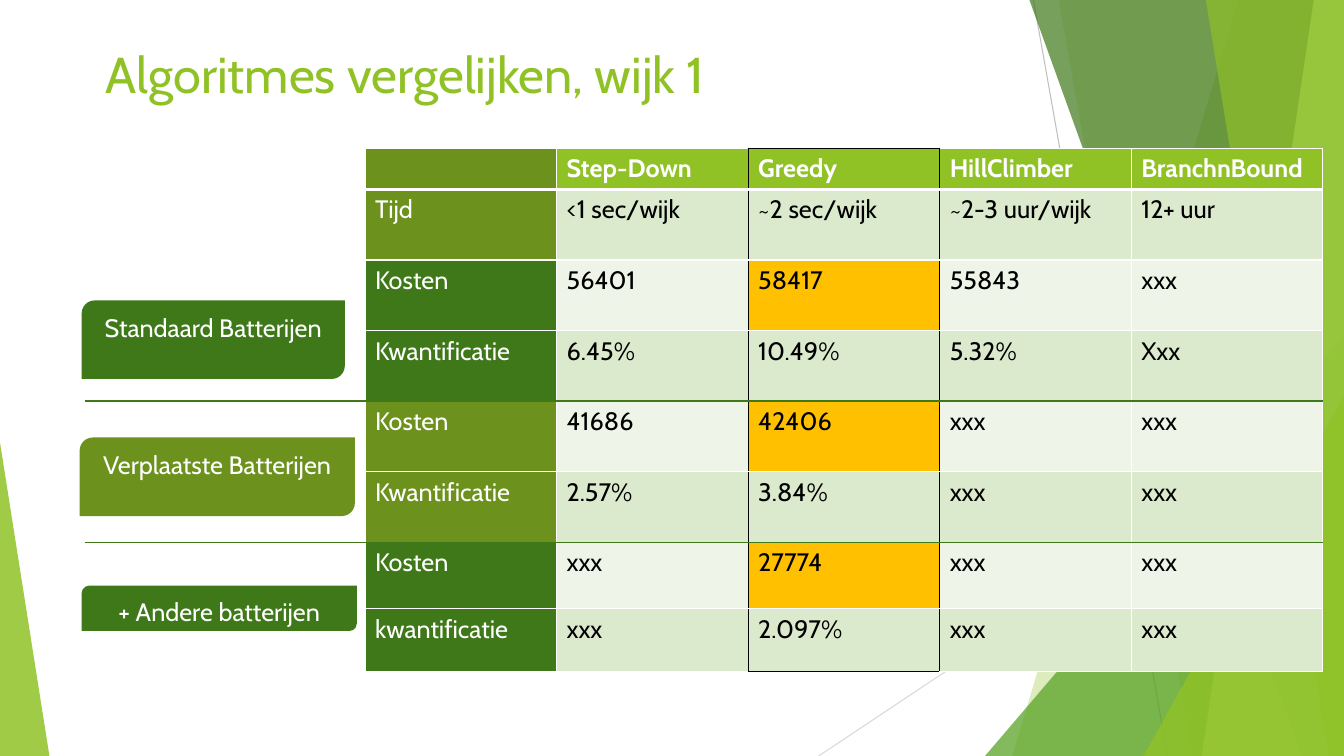
from lxml.etree import SubElement
from pptx import Presentation
from pptx.dml.color import RGBColor
from pptx.enum.shapes import MSO_CONNECTOR as CONN, MSO_SHAPE as SHAPE
from pptx.enum.text import MSO_ANCHOR as ANCHOR, PP_ALIGN as ALIGN
from pptx.oxml.ns import qn
from pptx.util import Inches, Pt

W, H = 13.33, 7.5
FONT = "Cabin"
LIME, OLIVE, FOREST = "90C226", "6C921D", "3F7819"
WHITE, BLACK, AMBER = "FFFFFF", "000000", "FFC000"
BANDS = ["DBE9CD", "EEF4E8"]

ROW_HEIGHTS = [0.41] + [0.7] * 5 + [0.66, 0.62]
ROW_COLORS = [OLIVE, OLIVE, FOREST, FOREST, OLIVE, OLIVE, FOREST, FOREST]
GREEDY = 2  # outlined column
ROWS = [
    ["", "Step-Down", "Greedy", "HillClimber", "BranchnBound"],
    ["Tijd", "<1 sec/wijk", "~2 sec/wijk", "~2-3 uur/wijk", "12+ uur"],
    ["Kosten", "56401", "58417", "55843", "xxx"],
    ["Kwantificatie", "6.45%", "10.49%", "5.32%", "Xxx"],
    ["Kosten", "41686", "42406", "xxx", "xxx"],
    ["Kwantificatie", "2.57%", "3.84%", "xxx", "xxx"],
    ["Kosten", "xxx", "27774", "xxx", "xxx"],
    ["kwantificatie", "xxx", "2.097%", "xxx", "xxx"],
]


def rgb(value):
    return RGBColor.from_string(value)


def paint(sp, color, alpha=100):
    sp.shadow.inherit = False
    sp.fill.solid()
    sp.fill.fore_color.rgb = rgb(color)
    sp.line.fill.background()
    if alpha < 100:
        clr = sp.fill._xPr.find(qn("a:solidFill"))[0]
        SubElement(clr, qn("a:alpha"), val=str(alpha * 1000))


def write(tf, text, size, color, bold=False):
    p = tf.paragraphs[0]
    p.text = text
    p.font.size, p.font.name, p.font.bold = Pt(size), FONT, bold
    p.font.color.rgb = rgb(color)
    return p


def add_line(s, start, end, color, width):
    ends = [Inches(v) for v in (*start, *end)]
    line = s.shapes.add_connector(CONN.STRAIGHT, *ends)
    line.line.color.rgb = rgb(color)
    line.line.width = Pt(width)
    SubElement(line._element.spPr, qn("a:effectLst"))


def add_shape(s, kind, box, color, alpha=100):
    sp = s.shapes.add_shape(kind, *[Inches(v) for v in box])
    paint(sp, color, alpha)
    return sp


def add_facet(s, top, bottom, color, alpha):
    """Full-height band from its left edge to the right slide edge."""
    points = [(W, 0), (W, H), (bottom, H)]
    fb = s.shapes.build_freeform(Inches(top), 0)
    fb.add_line_segments([(Inches(x), Inches(y)) for x, y in points])
    paint(fb.convert_to_shape(), color, alpha)


def add_corner(s, x, width, height, apex, color, alpha):
    """Right triangle standing on the bottom slide edge."""
    box = (x, H - height, width, height)
    add_shape(s, SHAPE.ISOSCELES_TRIANGLE, box, color, alpha).adjustments[0] = apex


def add_backdrop(s):
    add_line(s, (10.25, 0), (11.58, H), "BFBFBF", 0.75)
    add_line(s, (W, 4.03), (8.12, H), "D9D9D9", 0.75)
    add_facet(s, 12.28, 10.04, LIME, 30)
    add_facet(s, 10.5, 11.83, LIME, 20)
    add_corner(s, 9.77, 3.56, 4.17, 1, "54A021", 72)
    add_facet(s, 10.21, 12.91, FOREST, 70)
    add_facet(s, 13.03, 11.92, "C0E474", 70)
    add_facet(s, 11.96, 13.18, LIME, 65)
    add_corner(s, 11.34, 1.99, 3.57, 1, LIME, 80)
    add_corner(s, 0, 0.49, 3.11, 0, LIME, 85)


def add_title(s, box, text):
    tf = s.shapes.add_textbox(*[Inches(v) for v in box]).text_frame
    tf.word_wrap = True
    write(tf, text, 36, LIME)


def add_label(s, box, text, color):
    tf = add_shape(s, SHAPE.ROUND_2_DIAG_RECTANGLE, box, color).text_frame
    tf.word_wrap = True
    tf.vertical_anchor = ANCHOR.TOP
    tf.margin_top = Inches(0.08)
    write(tf, text, 18, WHITE).alignment = ALIGN.CENTER


def set_borders(cell, row, col):
    last = len(ROWS) - 1
    outlined = col == GREEDY
    edges = {
        "lnL": (col in (GREEDY, GREEDY + 1), 1),
        "lnR": (col in (GREEDY - 1, GREEDY), 1),
        "lnT": (outlined and row == 0, 3 if row == 1 else 1),
        "lnB": (outlined and row == last, 3 if row == 0 else 1),
    }
    tcPr = cell._tc.get_or_add_tcPr()
    for tag, (dark, width) in edges.items():
        ln = SubElement(tcPr, qn("a:" + tag), w=str(Pt(width)))
        fill = SubElement(ln, qn("a:solidFill"))
        SubElement(fill, qn("a:srgbClr"), val=BLACK if dark else WHITE)


def cell_colors(row, col):
    """Fill and text colour of a table cell."""
    if col == 0:
        return ROW_COLORS[row], WHITE
    if row == 0:
        return LIME, WHITE
    if col == GREEDY and ROWS[row][0] == "Kosten":
        return AMBER, BLACK
    return BANDS[(row - 1) % 2], BLACK


def add_comparison(s, box):
    n_cols = len(ROWS[0])
    table = s.shapes.add_table(len(ROWS), n_cols, *[Inches(v) for v in box]).table
    for column in table.columns:
        column.width = Inches(box[2] / n_cols)
    for r, texts in enumerate(ROWS):
        table.rows[r].height = Inches(ROW_HEIGHTS[r])
        for c, text in enumerate(texts):
            cell = table.cell(r, c)
            fill, color = cell_colors(r, c)
            set_borders(cell, r, c)
            cell.fill.solid()
            cell.fill.fore_color.rgb = rgb(fill)
            write(cell.text_frame, text, 18, color, bold=r == 0)


def main():
    prs = Presentation()
    prs.slide_width, prs.slide_height = Inches(W), Inches(H)
    s = prs.slides.add_slide(prs.slide_layouts[6])

    add_backdrop(s)
    add_title(s, (0.95, 0.38, 9.4, 1.44), "Algoritmes vergelijken, wijk 1")

    # Battery groups beside the table
    add_label(s, (0.81, 2.98, 2.61, 0.78), "Standaard Batterijen", FOREST)
    add_label(s, (0.79, 4.34, 2.73, 0.78), "Verplaatste Batterijen", OLIVE)
    add_label(s, (0.81, 5.81, 2.73, 0.45), "+ Andere batterijen", FOREST)

    left, top, width = 3.62, 1.47, 9.5
    add_comparison(s, (left, top, width, sum(ROW_HEIGHTS)))

    # Dividers between the groups
    for rows_above in (4, 6):
        y = top + sum(ROW_HEIGHTS[:rows_above])
        add_line(s, (0.84, y), (left + width, y), FOREST, 1)

    prs.save("out.pptx")


if __name__ == "__main__":
    main()
